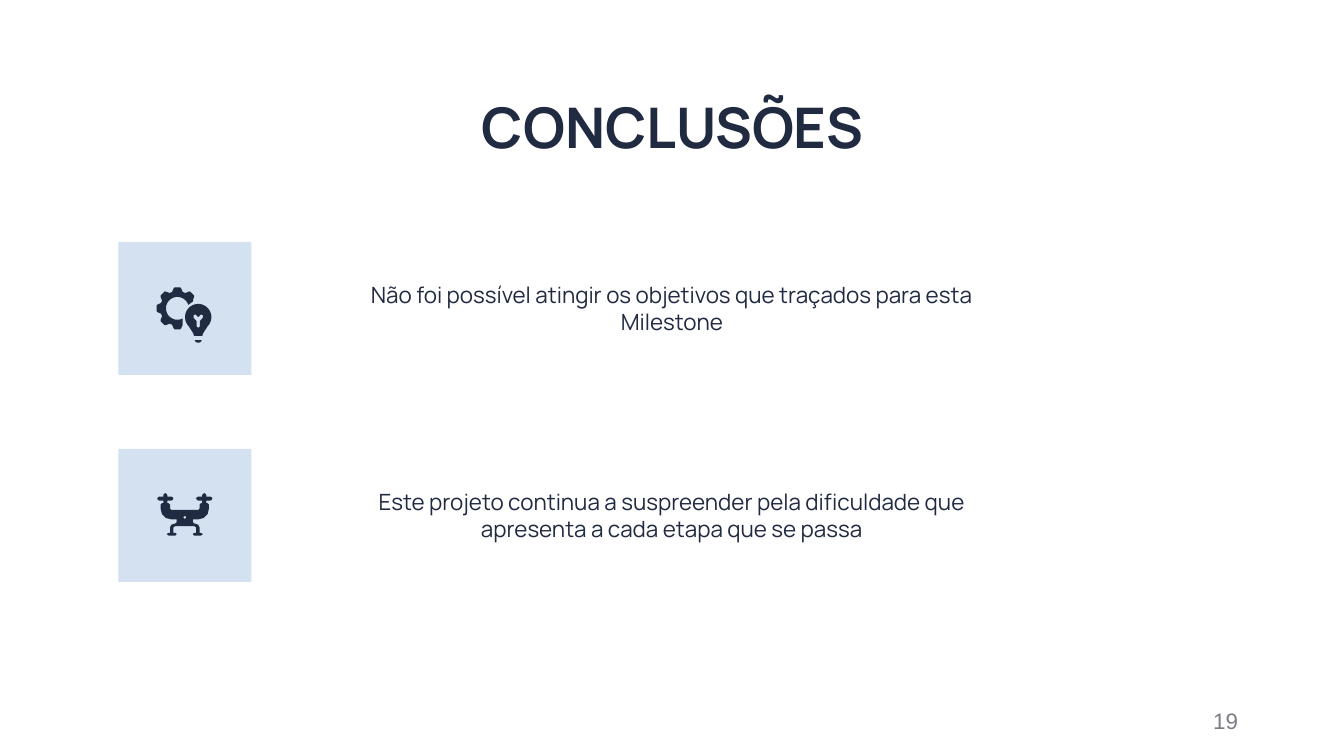
from math import cos, radians, sin

from pptx import Presentation
from pptx.dml.color import RGBColor
from pptx.enum.shapes import MSO_SHAPE
from pptx.enum.text import MSO_ANCHOR, MSO_AUTO_SIZE, PP_ALIGN
from pptx.util import Inches, Pt

RECTANGLE = MSO_SHAPE.RECTANGLE
TOP, MIDDLE = MSO_ANCHOR.TOP, MSO_ANCHOR.MIDDLE
CENTER, RIGHT = PP_ALIGN.CENTER, PP_ALIGN.RIGHT
FIXED_SIZE = MSO_AUTO_SIZE.NONE

COLORS = {"ink": "202A41", "tile": "D3E1F1", "number": "7B7D83"}
WIDTH = 10
HEIGHT = WIDTH * 9 / 16
TILE_LEFT, TILE_SIZE = 0.88, 0.99
ROW_TOP, ROW_STEP = 1.8, 1.54
TEXT_LEFT, TEXT_WIDTH = 2.38, 5.24
CONCLUSIONS = [
    "Não foi possível atingir os objetivos que traçados para esta Milestone",
    "Este projeto continua a suspreender pela dificuldade que apresenta a cada etapa que se passa",
]

UNITS_PER_INCH = 100
DRONE_HALF = [
    (0, -4), (10, -4), (11, -5), (11, -8), (12, -9), (13, -9), (13, -11),
    (10, -11), (9, -11.5), (8.5, -12.5), (9, -13.5), (10, -14), (13, -14),
    (13, -15), (13.5, -16), (14.5, -16.5), (15.5, -16), (16, -15), (16, -14),
    (19, -14), (20, -13.5), (20.5, -12.5), (20, -11.5), (19, -11), (16, -11),
    (16, -9), (17, -9), (18, -8), (18, -5), (17, -1), (14, 2), (10, 3),
    (6, 3), (6, 5), (7, 6), (10, 7), (11, 9), (11, 13), (12, 13),
    (13.5, 14), (12, 15), (7, 15), (6, 14), (7, 13), (8.5, 13), (8.5, 9),
    (7, 8), (0, 8),
]
FILAMENT_HALF = [(0, 0), (2, -2), (3.5, -1.5), (3.5, 0.5), (1.2, 3),
                 (1.2, 7), (0, 8)]
GEAR_CENTER, BULB_CENTER = (-5.5, 0), (10, 6.5)


def color(name):
    return RGBColor.from_string(COLORS[name])


def arc(center, radius, start, end, step=10, flatness=1):
    count = max(1, round(abs(end - start) / step))
    angles = [radians(start + (end - start) * i / count) for i in range(count + 1)]
    return [(center[0] + radius * cos(angle),
             center[1] + radius * flatness * sin(angle)) for angle in angles]


def mirrored(half, center=(0, 0)):
    points = half + [(-x, y) for x, y in reversed(half)]
    return [(center[0] + x, center[1] + y) for x, y in points]


def gear_outline():
    points = []
    for tooth in range(90, 316, 45):
        for turn, radius in ((-18, 12.8), (-11, 15), (-8, 15.7),
                             (8, 15.7), (11, 15), (18, 12.8)):
            points += arc(GEAR_CENTER, radius, tooth + turn, tooth + turn)[:1]
    return points + [(6.5, -5.5), (2.5, -2.5)] + arc(GEAR_CENTER, 8.5, 343, 62)


def bulb_outline():
    stem = [(3.7, 12), (3, 14), (-3, 14), (-3.7, 12)]
    x, y = BULB_CENTER
    return arc(BULB_CENTER, 9.8, 135, 405) + [(x + dx, y + dy) for dx, dy in stem]


def add_outline(shapes, middle, *contours):
    placed = [[(Inches(middle[0] + x / UNITS_PER_INCH),
                Inches(middle[1] + y / UNITS_PER_INCH))
               for x, y in contour] for contour in contours]
    builder = shapes.build_freeform(*placed[0][0])
    for index, contour in enumerate(placed):
        if index:
            builder.move_to(*contour[0])
        builder.add_line_segments(contour[1:], close=True)
    format_shape(builder.convert_to_shape(), "ink")


def format_shape(shape, fill):
    shape.shadow.inherit = False
    shape.fill.solid()
    shape.fill.fore_color.rgb = color(fill)
    shape.line.fill.background()


def add_gear_and_bulb(slide, middle):
    shapes = slide.shapes.add_group_shape().shapes
    base = arc((BULB_CENTER[0], 23.5), 2.5, 0, 180, flatness=0.8)
    add_outline(shapes, middle, base)
    add_outline(shapes, middle, bulb_outline(), mirrored(FILAMENT_HALF, BULB_CENTER))
    add_outline(shapes, middle, gear_outline())


def add_drone(slide, middle):
    camera = arc((0, 1.5), 1, 0, 360, step=30)
    add_outline(slide.shapes, middle, mirrored(DRONE_HALF), camera)


def add_tile(slide, top):
    shape = slide.shapes.add_shape(RECTANGLE, Inches(TILE_LEFT), Inches(top),
                                   Inches(TILE_SIZE), Inches(TILE_SIZE))
    format_shape(shape, "tile")


def write_text(shape, text, size=12, font="Manrope", ink="ink", bold=False,
               align=CENTER, anchor=MIDDLE, inset=0.1):
    frame = shape.text_frame
    frame.word_wrap = True
    frame.auto_size = FIXED_SIZE
    frame.vertical_anchor = anchor
    frame.margin_left = frame.margin_right = Inches(0.1)
    frame.margin_top = frame.margin_bottom = Inches(inset)
    frame.text = text
    paragraph = frame.paragraphs[0]
    paragraph.alignment = align
    paragraph.line_spacing = 1.0
    paragraph.space_before = Pt(0)
    run_font = paragraph.runs[0].font
    run_font.name, run_font.size, run_font.bold = font, Pt(size), bold
    run_font.color.rgb = color(ink)


def add_text(slide, left, top, width, height, text, **text_format):
    shape = slide.shapes.add_textbox(Inches(left), Inches(top),
                                     Inches(width), Inches(height))
    write_text(shape, text, **text_format)


def set_title(slide, text):
    title = slide.shapes.title
    title.left, title.top = Inches(0.79), Inches(0.59)
    title.width, title.height = Inches(8.43), Inches(0.63)
    write_text(title, text, size=30, bold=True, anchor=TOP)


def main():
    presentation = Presentation()
    presentation.slide_width = Inches(WIDTH)
    presentation.slide_height = Inches(HEIGHT)
    slide = presentation.slides.add_slide(presentation.slide_layouts[5])
    set_title(slide, "CONCLUSÕES")
    for row, (text, add_icon) in enumerate(zip(CONCLUSIONS, (add_gear_and_bulb, add_drone))):
        top = ROW_TOP + row * ROW_STEP
        add_tile(slide, top)
        add_text(slide, TEXT_LEFT, top, TEXT_WIDTH, TILE_SIZE, text)
        add_icon(slide, (TILE_LEFT + TILE_SIZE / 2, top + TILE_SIZE / 2))
    add_text(slide, 7.06, 5.21, 2.25, 0.3, "19", font="Arial", ink="number",
             align=RIGHT, inset=0.05)
    presentation.save("out.pptx")


if __name__ == "__main__":
    main()
